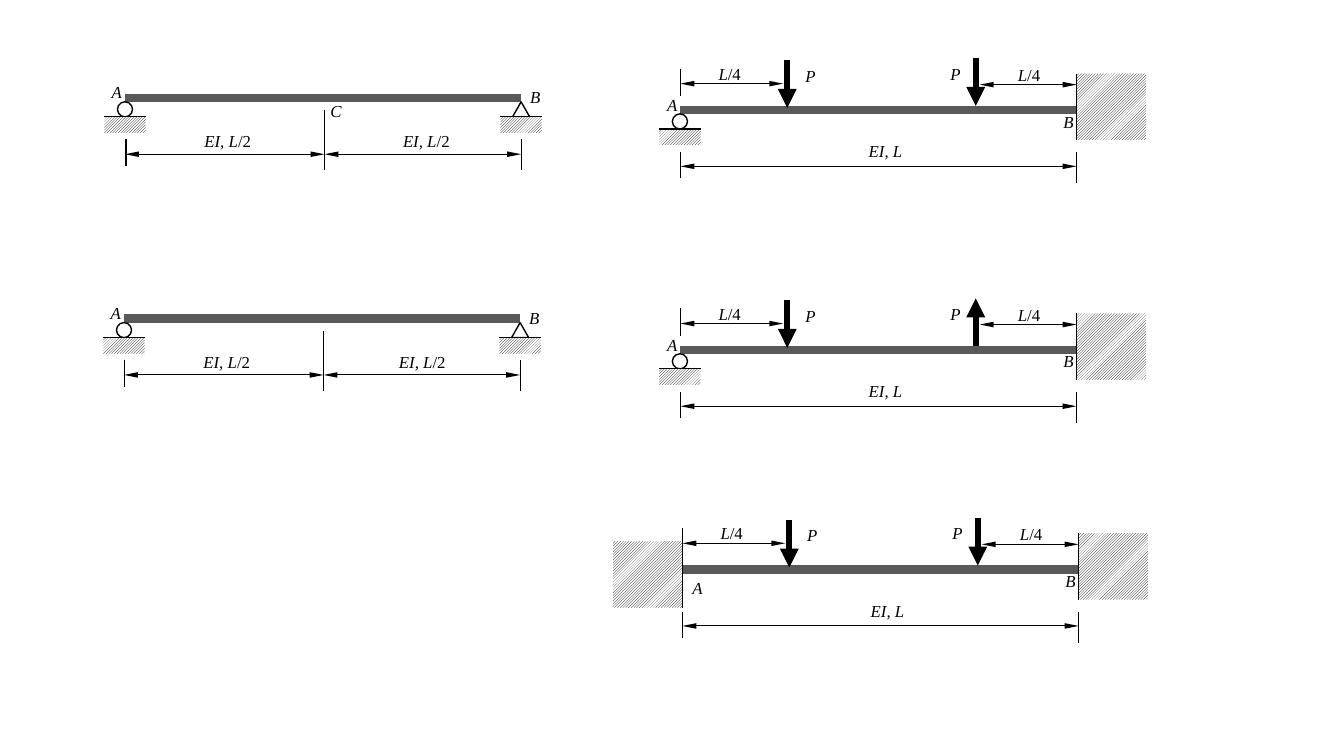
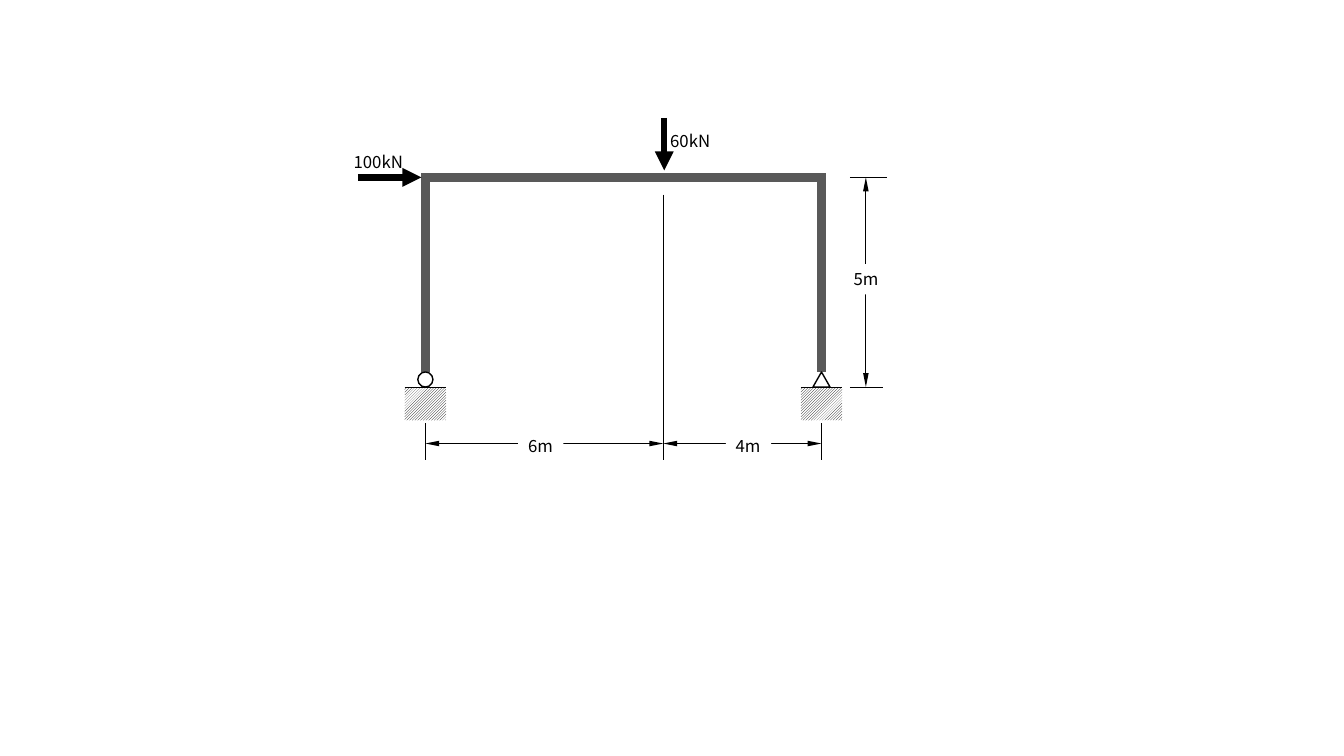
from lxml import etree
from pptx import Presentation
from pptx import util as u
from pptx.dml.color import RGBColor
from pptx.enum import dml, shapes, text
from pptx.oxml.ns import qn

# Grid: cells of a tenth of an inch, 133.33 columns by 75 rows
CELL = u.Inches(0.1)
COLUMNS, ROWS = 133.33, 75

# Shared formats
color = RGBColor.from_string
INK, STEEL, PAPER = "000000", "595959", "FFFFFF"
SYMBOL = {"name": "Times New Roman", "size": u.Pt(12), "italic": True}
UNIT = {"name": "Noto Sans CJK KR", "size": u.Pt(12), "italic": False}
THIN_ARROW = {"type": "triangle", "w": "sm", "len": "lg"}
LOAD_ARROW = {"type": "triangle", "w": "med", "len": "med"}
# Each line style: colour, points, arrowheads by end
LINES = {
    "member": (STEEL, 6, {}),
    "edge": (INK, 0.75, {}),
    "dimension": (INK, 0.75, {"headEnd": THIN_ARROW, "tailEnd": THIN_ARROW}),
    "load": (INK, 4.5, {"tailEnd": LOAD_ARROW}),
}


def draw_line(slide, style, x1, y1, x2, y2):
    hue, points, arrows = LINES[style]
    ends = [round(value * CELL) for value in (x1, y1, x2, y2)]
    line = slide.shapes.add_connector(shapes.MSO_CONNECTOR.STRAIGHT, *ends)
    line.line.color.rgb = color(hue)
    line.line.width = u.Pt(points)
    properties = line.element.spPr
    for end, arrow in arrows.items():
        etree.SubElement(properties.find(qn("a:ln")), qn(f"a:{end}"), arrow)
    etree.SubElement(properties, qn("a:effectLst"))


def draw_label(slide, label, x, y, width=3.1, font=SYMBOL, filled=False):
    box = slide.shapes.add_textbox(*[round(v * CELL) for v in (x, y, width, 3)])
    if filled:
        box.fill.solid()
        box.fill.fore_color.rgb = color(PAPER)
    frame = box.text_frame
    frame.word_wrap = False
    frame.auto_size = text.MSO_AUTO_SIZE.SHAPE_TO_FIT_TEXT
    # A divisor such as /2 stands upright
    name, slash, divisor = label.partition("/")
    for part, changes in ((name, {}), (slash + divisor, {"italic": False})):
        if part:
            run = frame.paragraphs[0].add_run()
            run.text = part
            run.font.color.rgb = color(INK)
            for key, value in {**font, **changes}.items():
                setattr(run.font, key, value)


presentation = Presentation()
presentation.slide_width = round(COLUMNS * CELL)
presentation.slide_height = ROWS * CELL
blank = presentation.slide_layouts[6]
beams = presentation.slides.add_slide(blank)
portal = presentation.slides.add_slide(blank)
supports = []  # slide, kind, centre, top, depth of ground
hatches = []  # slide, left, top, width, height, face line

# Simply supported beams
for left, axis, second_label in ((12.4, 9.7, 39.0), (12.3, 31.6, 38.6)):
    middle, right = left + 19.8, left + 39.3
    draw_line(beams, "member", left, axis, right, axis)
    supports += [(beams, "roller", left, axis + 0.4, 1.6),
                 (beams, "pin", right, axis + 0.4, 1.6)]
    for x, top, bottom in ((left + 0.1, 4.1, 6.8), (middle, 1.2, 7.2), (right, 4.1, 7.2)):
        draw_line(beams, "edge", x, axis + top, x, axis + bottom)
    for start, end in ((left, middle), (middle, right)):
        draw_line(beams, "dimension", start, axis + 5.6, end, axis + 5.6)
    for x in (left + 6.9, second_label):
        draw_label(beams, "EI, L/2", x, axis + 2.8, 6.7)
    draw_label(beams, "A", left - 2.3, axis - 2.05)
    draw_label(beams, "B", left + 39.2, axis - 1.6)
draw_label(beams, "C", 31.8, 9.5)

# Beams built in at the right, each with two loads
for left, axis, start, upward in ((67.5, 10.9, "roller", False),
                                  (67.5, 34.7, "roller", True),
                                  (67.7, 56.5, "wall", False)):
    right = left + 39.3
    hatches.append((beams, right, axis - 3.6, 6.9, 6.6, "left"))
    draw_line(beams, "member", left, axis, right, axis)
    if start == "wall":
        hatches.append((beams, left - 6.9, axis - 2.8, 6.9, 6.6, "right"))
        draw_label(beams, "A", left, axis + 0.3)
    else:
        supports.append((beams, start, left - 0.05, axis + 0.4, 1.6))
        draw_label(beams, "A", left - 2.3, axis - 2)
    draw_label(beams, "B", left + 37, axis - 0.35)

    # Loads
    draw_line(beams, "load", left + 10.6, axis - 4.9, left + 10.6, axis - 0.2)
    low, high = axis - 0.4, axis - 5.1
    tail, tip = (low, high) if upward else (high, low)
    draw_line(beams, "load", left + 29.3, tail, left + 29.3, tip)
    draw_label(beams, "P", left + 11.4, axis - 4.9)
    draw_label(beams, "P", left + 25.8, axis - 5.1)

    # Dimensions
    draw_label(beams, "EI, L", left + 17.7, axis + 2.6, 5.4, filled=True)
    for x, top, bottom in ((left, -4.1, -1.4), (left, 4.2, 6.8), (right, 4.2, 7.3)):
        draw_line(beams, "edge", x, axis + top, x, axis + bottom)
    for first, last, rise in ((0, 39.3, 5.6), (0, 10.2, -2.6), (29.7, 39.3, -2.5)):
        draw_line(beams, "dimension", left + first, axis + rise, left + last, axis + rise)
    draw_label(beams, "L/4", left + 2.8, axis - 5.1, 4.3)
    draw_label(beams, "L/4", left + 32.5, axis - 5, 4.3)

# Portal frame
left, middle, right, beam, ground = 42.2, 65.8, 81.5, 17.6, 38.4
draw_line(portal, "member", left, beam, right + 0.1, beam)
for x, kind in ((left, "roller"), (right, "pin")):
    draw_line(portal, "member", x, 36.9, x, beam - 0.4)
    supports.append((portal, kind, x, 36.9, 3.3))
draw_line(portal, "load", 35.5, beam, 41.8, beam)
draw_line(portal, "load", 65.9, 11.7, 65.9, 16.9)
draw_label(portal, "100kN", 34.1, 14.6, 7.2, UNIT)
draw_label(portal, "60kN", 65.5, 12.5, 6.2, UNIT)

# Portal dimensions, their labels breaking the lines
for x, top in ((left, 42), (middle, 19.3), (right, 42)):
    draw_line(portal, "edge", x, top, x, 45.6)
for y, end in ((beam, 88), (ground, 87.6)):
    draw_line(portal, "edge", 84.3, y, end, y)
for line, label, x, y in (((left, 44, middle, 44), "6m", 51.4, 42.7),
                          ((middle, 44, right, 44), "4m", 72, 42.7),
                          ((85.9, beam, 85.9, ground), "5m", 83.7, 26.2)):
    draw_line(portal, "dimension", *line)
    draw_label(portal, label, x, y, 4.5, UNIT, filled=True)

# Rollers and pins on their ground
MARKS = {"roller": (shapes.MSO_SHAPE.OVAL, 1.5),
         "pin": (shapes.MSO_SHAPE.ISOSCELES_TRIANGLE, 1.7)}
for slide, kind, centre, top, depth in supports:
    preset, width = MARKS[kind]
    place = [round(v * CELL) for v in (centre - width / 2, top, width, 1.5)]
    mark = slide.shapes.add_shape(preset, *place)
    mark.shadow.inherit = False
    if kind == "roller":
        mark.fill.solid()
        mark.fill.fore_color.rgb = color(PAPER)
    else:
        mark.fill.background()
    mark.line.color.rgb = color(INK)
    mark.line.width = u.Pt(1)
    hatches.append((slide, centre - 2.05, top + 1.5, 4.1, depth, "top"))

# Hatched ground and walls, each with a line along its face
for slide, x, y, width, height, face in hatches:
    place = [round(v * CELL) for v in (x, y, width, height)]
    hatch = slide.shapes.add_shape(shapes.MSO_SHAPE.RECTANGLE, *place)
    hatch.shadow.inherit = False
    hatch.line.fill.background()
    hatch.fill.patterned()
    hatch.fill.pattern = dml.MSO_PATTERN.LIGHT_UPWARD_DIAGONAL
    hatch.fill.fore_color.rgb = color(INK)
    hatch.fill.back_color.rgb = color(PAPER)
    edges = {"top": (x, y, x + width, y),
             "left": (x, y, x, y + height),
             "right": (x + width, y, x + width, y + height)}
    draw_line(slide, "edge", *edges[face])

presentation.save("out.pptx")
